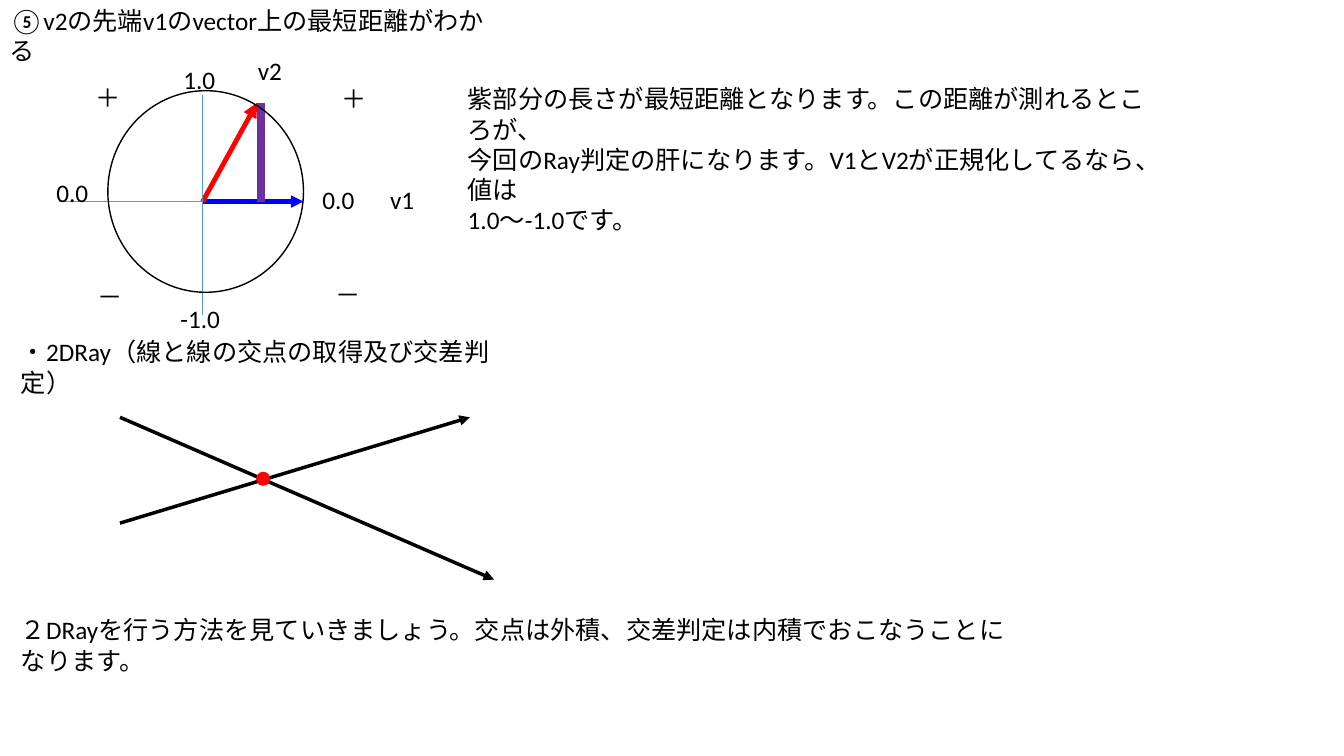
from dataclasses import dataclass

import pptx
import pptx.dml.color
import pptx.enum.shapes
import pptx.enum.text
import pptx.oxml
import pptx.oxml.ns
import pptx.presentation
import pptx.shapes.autoshape
import pptx.slide
import pptx.util

Inches = pptx.util.Inches
Pt = pptx.util.Pt

BLACK = "000000"
RED = "FF0000"
AXIS_COLOR = "5B9BD5"
ORIGIN = (2.01, 2.0)
LABEL_HEIGHT = 0.4


@dataclass(frozen=True)
class Line:
    start: tuple[float, float]
    end: tuple[float, float]
    color: str
    width: float
    arrow: bool = False


@dataclass(frozen=True)
class Text:
    left: float
    top: float
    width: float
    height: float
    paragraphs: tuple[str, ...]
    wrap: bool = True


@dataclass(frozen=True)
class Label:
    left: float
    top: float
    width: float
    text: str


VECTORS = (
    Line(ORIGIN, (3.01, 2), "0000FF", 3, arrow=True),
    Line(ORIGIN, (2.55, 1.02), RED, 3.5, arrow=True),
    Line((2.59, 1.02), (2.59, 2), "7030A0", 5.5),
)
AXES = (
    Line(ORIGIN, (0.59, 2), AXIS_COLOR, 0.5),
    Line((2.01, 0.94), (2.01, 3.13), AXIS_COLOR, 0.5),
)
RAYS = (
    Line((1.19, 4.14), (4.9, 5.75), BLACK, 2.5, arrow=True),
    Line((1.19, 5.19), (4.66, 4.14), BLACK, 2.5, arrow=True),
)
LABELS = (
    Label(3.77, 1.78, 0.47, "v1"),
    Label(2.46, 0.5, 0.47, "v2"),
    Label(3.29, 0.78, 0.45, "＋"),
    Label(0.85, 0.77, 0.45, "＋"),
    Label(3.23, 2.72, 0.45, "－"),
    Label(0.87, 2.74, 0.45, "－"),
    Label(3.1, 1.78, 0.52, "0.0"),
    Label(0.46, 1.71, 0.52, "0.0"),
    Label(1.69, 2.96, 0.6, "-1.0"),
    Label(1.72, 0.59, 0.52, "1.0"),
)
TEXTS = (
    Text(0, 0, 5.08, 0.71, ("⑤v2の先端v1のvector上の最短距離がわかる",)),
    Text(4.54, 0.78, 7.12, 1.01, (
        "紫部分の長さが最短距離となります。この距離が測れるところが、",
        "今回のRay判定の肝になります。V1とV2が正規化してるなら、値は",
        "1.0～-1.0です。",
    )),
    Text(0.11, 3.29, 4.95, 0.4, ("・2DRay（線と線の交点の取得及び交差判定）",)),
    Text(0.11, 6.05, 10.1, 0.4, (
        "２DRayを行う方法を見ていきましょう。交点は外積、交差判定は内積でおこなうことになります。",
    )),
)


def rgb(color: str) -> pptx.dml.color.RGBColor:
    return pptx.dml.color.RGBColor.from_string(color)


def add_line(slide: pptx.slide.Slide, line: Line) -> None:
    connector = slide.shapes.add_connector(
        pptx.enum.shapes.MSO_CONNECTOR.STRAIGHT,
        *(Inches(value) for value in line.start + line.end),
    )
    connector.line.color.rgb = rgb(line.color)
    connector.line.width = Pt(line.width)
    if line.arrow:
        tail = pptx.oxml.parse_xml(
            f'<a:tailEnd {pptx.oxml.ns.nsdecls("a")} type="triangle"/>'
        )
        connector.line._get_or_add_ln().append(tail)
    effects = pptx.oxml.parse_xml(f'<a:effectLst {pptx.oxml.ns.nsdecls("a")}/>')
    connector._element.spPr.append(effects)


def add_ellipse(
    slide: pptx.slide.Slide, left: float, top: float, width: float, height: float
) -> pptx.shapes.autoshape.Shape:
    ellipse = slide.shapes.add_shape(
        pptx.enum.shapes.MSO_SHAPE.OVAL,
        Inches(left), Inches(top), Inches(width), Inches(height),
    )
    ellipse.shadow.inherit = False
    return ellipse


def add_text(slide: pptx.slide.Slide, text: Text) -> None:
    box = slide.shapes.add_textbox(
        Inches(text.left), Inches(text.top), Inches(text.width), Inches(text.height)
    )
    frame = box.text_frame
    frame.word_wrap = text.wrap
    frame.auto_size = pptx.enum.text.MSO_AUTO_SIZE.SHAPE_TO_FIT_TEXT
    for index, content in enumerate(text.paragraphs):
        paragraph = frame.add_paragraph() if index else frame.paragraphs[0]
        run = paragraph.add_run()
        run.text = content
        run.font.name = "Calibri"
        run.font.size = Pt(18)
        run.font.color.rgb = rgb(BLACK)


def main() -> None:
    presentation = pptx.Presentation()
    presentation.slide_width = Inches(13.33)
    presentation.slide_height = Inches(7.5)
    slide = presentation.slides.add_slide(presentation.slide_layouts[6])

    for line in VECTORS + AXES:
        add_line(slide, line)
    unit_circle = add_ellipse(slide, 1.07, 0.9, 1.94, 2)
    unit_circle.fill.background()
    unit_circle.line.color.rgb = rgb(BLACK)
    unit_circle.line.width = Pt(1)

    for ray in RAYS:
        add_line(slide, ray)
    intersection = add_ellipse(slide, 2.54, 4.68, 0.14, 0.14)
    intersection.fill.solid()
    intersection.fill.fore_color.rgb = rgb(RED)
    intersection.line.fill.background()

    for text in TEXTS:
        add_text(slide, text)
    for label in LABELS:
        add_text(slide, Text(label.left, label.top, label.width, LABEL_HEIGHT,
                             (label.text,), wrap=False))

    presentation.save("out.pptx")


if __name__ == "__main__":
    main()
